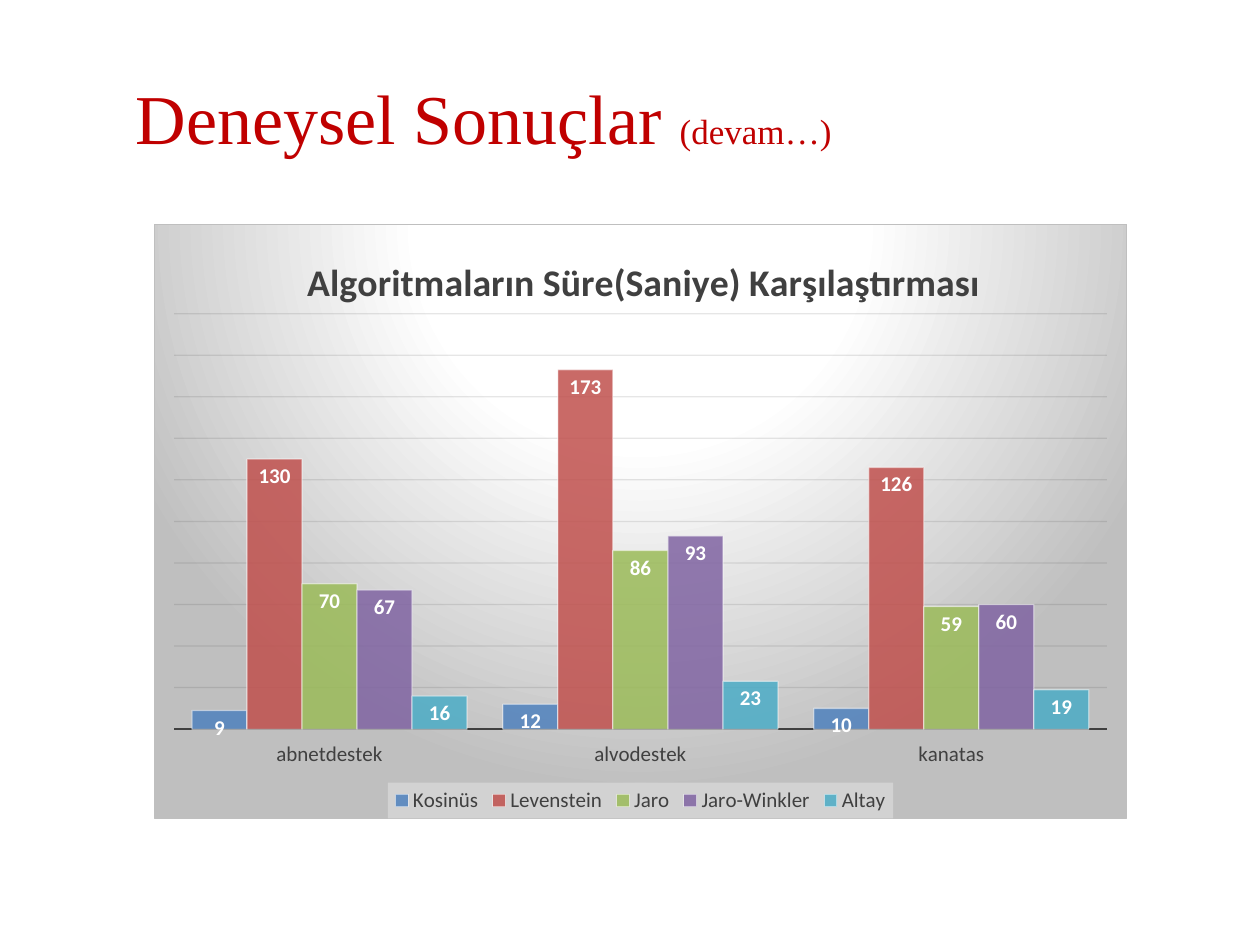
"""Build a slide comparing the running times of text similarity algorithms."""
from dataclasses import dataclass

from lxml.etree import SubElement
from pptx import Presentation
from pptx.chart.chart import Chart
from pptx.chart.data import CategoryChartData
from pptx.dml.color import RGBColor
from pptx.enum.chart import XL_CHART_TYPE, XL_LABEL_POSITION, XL_LEGEND_POSITION, XL_TICK_LABEL_POSITION, XL_TICK_MARK
from pptx.enum.text import MSO_ANCHOR, PP_ALIGN
from pptx.oxml import parse_xml
from pptx.oxml.ns import nsdecls, qn
from pptx.slide import Slide
from pptx.util import Pt

RED = RGBColor(0xC0, 0x00, 0x00)
DARK = RGBColor(0x40, 0x40, 0x40)
GRID = RGBColor(0x0D, 0x0D, 0x0D)
WHITE = RGBColor(0xFF, 0xFF, 0xFF)
SILVER = RGBColor(0xBF, 0xBF, 0xBF)
PALE = RGBColor(0xF2, 0xF2, 0xF2)
CATEGORIES = ("abnetdestek", "alvodestek", "kanatas")


@dataclass
class Algorithm:
    name: str
    seconds: tuple[int, ...]
    color: RGBColor


ALGORITHMS = (
    Algorithm("Kosinüs", (9, 12, 10), RGBColor(0x4F, 0x81, 0xBD)),
    Algorithm("Levenstein", (130, 173, 126), RGBColor(0xC0, 0x50, 0x4D)),
    Algorithm("Jaro", (70, 86, 59), RGBColor(0x9B, 0xBB, 0x59)),
    Algorithm("Jaro-Winkler", (67, 93, 60), RGBColor(0x80, 0x64, 0xA2)),
    Algorithm("Altay", (16, 23, 19), RGBColor(0x4B, 0xAC, 0xC6)),
)


def style_font(font, size: float, color: RGBColor, name: str = "Calibri", bold: bool = False) -> None:
    font.name, font.size, font.bold = name, Pt(size), bold
    font.color.rgb = color


def set_opacity(chart: Chart, query: str, percent: int) -> None:
    for color in chart.element.xpath(query + "/a:solidFill/a:srgbClr"):
        SubElement(color, qn("a:alpha"), val=str(percent * 1000))


def place(chart: Chart, query: str, **fractions: float) -> None:
    following = chart.element.xpath(query)[0]
    owner = following.getparent()
    for former in owner.findall(qn("c:layout")):
        owner.remove(former)
    target = '<c:layoutTarget val="inner"/>' if owner.tag == qn("c:plotArea") else ""
    modes = '<c:xMode val="edge"/><c:yMode val="edge"/>'
    values = "".join(f'<c:{key} val="{value}"/>' for key, value in fractions.items())
    following.addprevious(parse_xml(
        f'<c:layout {nsdecls("c")}><c:manualLayout>{target}{modes}{values}</c:manualLayout></c:layout>'))


def add_background(chart: Chart, query: str, content: str) -> None:
    chart.element.xpath(query)[0].addnext(
        parse_xml(f'<c:spPr {nsdecls("c", "a")}>{content}</c:spPr>'))


def add_title(slide: Slide) -> None:
    title = slide.shapes.title
    title.left, title.top, title.width, title.height = Pt(70.5), Pt(21.5), Pt(613.5), Pt(90)
    title.text_frame.vertical_anchor = MSO_ANCHOR.MIDDLE
    para = title.text_frame.paragraphs[0]
    para.alignment = PP_ALIGN.LEFT
    for text, size in (("Deneysel Sonuçlar ", 40), ("(devam…)", 20)):
        span = para.add_run()
        span.text = text
        style_font(span.font, size, RED, "Times New Roman")


def style_series(chart: Chart) -> None:
    for series, algorithm in zip(chart.plots[0].series, ALGORITHMS):
        series.format.fill.solid()
        series.format.fill.fore_color.rgb = algorithm.color
        series.format.line.color.rgb = WHITE
        series.format.line.width = Pt(0.75)
        labels = series.data_labels
        labels.show_value = True
        labels.position = XL_LABEL_POSITION.INSIDE_END
        style_font(labels.font, 12, WHITE, bold=True)
    set_opacity(chart, "//c:ser/c:spPr", 85)
    set_opacity(chart, "//c:ser/c:spPr/a:ln", 50)


def style_axes(chart: Chart) -> None:
    categories, values = chart.category_axis, chart.value_axis
    categories.major_tick_mark = categories.minor_tick_mark = XL_TICK_MARK.NONE
    categories.tick_label_position = XL_TICK_LABEL_POSITION.LOW
    categories.format.line.color.rgb = DARK
    categories.format.line.width = Pt(1.5)
    style_font(categories.tick_labels.font, 12, DARK)
    values.minimum_scale, values.maximum_scale, values.major_unit = 0, 200, 20
    values.visible = False
    values.has_major_gridlines = True
    values.major_gridlines.format.line.color.rgb = GRID
    values.major_gridlines.format.line.width = Pt(0.75)
    set_opacity(chart, "//c:majorGridlines/c:spPr/a:ln", 10)


def style_frame(chart: Chart) -> None:
    chart.has_title = True
    para = chart.chart_title.text_frame.paragraphs[0]
    para.text = "Algoritmaların Süre(Saniye) Karşılaştırması"
    style_font(para.runs[0].font, 21.6, DARK, bold=True)
    chart.has_legend = True
    chart.legend.position = XL_LEGEND_POSITION.BOTTOM
    chart.legend.include_in_layout = False
    style_font(chart.legend.font, 12, DARK)
    place(chart, "//c:title/c:overlay", x=0.15, y=0.04)
    place(chart, "//c:plotArea/c:barChart", x=0.02, y=0.15, w=0.96, h=0.7)
    place(chart, "//c:legend/c:overlay", x=0.24, y=0.94, w=0.52, h=0.06)
    add_background(chart, "//c:legend/c:overlay",
                   f'<a:solidFill><a:srgbClr val="{PALE}"><a:alpha val="39000"/></a:srgbClr></a:solidFill>')
    stops = "".join(f'<a:gs pos="{position * 1000}"><a:srgbClr val="{color}"/></a:gs>'
                    for position, color in ((0, WHITE), (39, WHITE), (100, SILVER)))
    add_background(chart, "/c:chartSpace/c:chart",
                   f'<a:gradFill><a:gsLst>{stops}</a:gsLst><a:path path="circle">'
                   '<a:fillToRect l="50000" t="-80000" r="50000" b="180000"/></a:path></a:gradFill>'
                   f'<a:ln w="{Pt(0.75)}"><a:solidFill><a:srgbClr val="{SILVER}"/></a:solidFill></a:ln>')


def add_time_chart(slide: Slide) -> None:
    data = CategoryChartData()
    data.categories = CATEGORIES
    for algorithm in ALGORITHMS:
        data.add_series(algorithm.name, algorithm.seconds)
    chart = slide.shapes.add_chart(
        XL_CHART_TYPE.COLUMN_CLUSTERED, Pt(88), Pt(128), Pt(556), Pt(340), data).chart
    style_font(chart.font, 10, RGBColor(0, 0, 0))
    chart.plots[0].gap_width = 65
    chart.plots[0].vary_by_categories = False
    style_series(chart)
    style_axes(chart)
    style_frame(chart)


def main() -> None:
    deck = Presentation()
    deck.slide_width, deck.slide_height = Pt(720), Pt(540)
    slide = deck.slides.add_slide(deck.slide_layouts[5])
    add_title(slide)
    add_time_chart(slide)
    deck.save("out.pptx")


if __name__ == "__main__":
    main()
